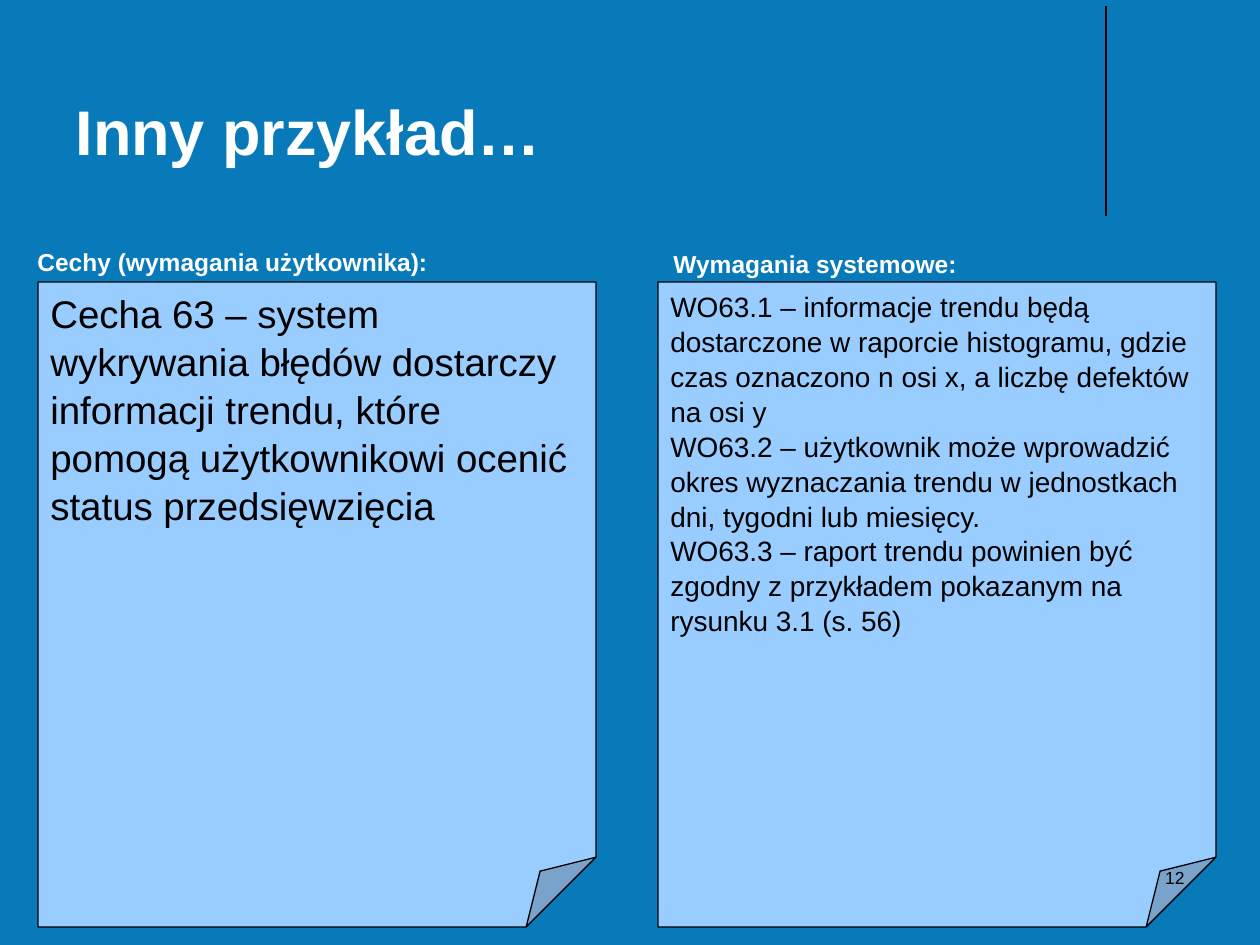
from dataclasses import dataclass

from lxml import etree
from pptx import Presentation
from pptx.dml.color import RGBColor
from pptx.enum.shapes import MSO_CONNECTOR, MSO_SHAPE
from pptx.enum.text import MSO_ANCHOR, MSO_AUTO_SIZE, PP_ALIGN
from pptx.oxml.ns import qn
from pptx.util import Pt

LEFT, RIGHT = PP_ALIGN.LEFT, PP_ALIGN.RIGHT
TOP, BOTTOM = MSO_ANCHOR.TOP, MSO_ANCHOR.BOTTOM
PX = 914400 // 126


@dataclass(frozen=True)
class Theme:
    font: str = "Arial"
    background: RGBColor = RGBColor(0x09, 0x7A, 0xB9)
    note: RGBColor = RGBColor(0x99, 0xCC, 0xFF)
    light: RGBColor = RGBColor(0xFF, 0xFF, 0xFF)
    dark: RGBColor = RGBColor(0, 0, 0)
    title: int = 36
    feature: int = 22
    requirement: int = 16
    label: int = 14
    number: int = 10


theme = Theme()


def px(*lengths):
    return [n * PX for n in lengths]


def write(s, lines, size, color, bold=False, align=LEFT, anchor=TOP, spacing=1.0):
    tf = s.text_frame
    tf.word_wrap = True
    tf.auto_size = MSO_AUTO_SIZE.NONE
    tf.vertical_anchor = anchor
    tf.text = "\n".join(lines)
    for p in tf.paragraphs:
        p.alignment = align
        p.line_spacing = spacing
        p.font.name = theme.font
        p.font.size = Pt(size)
        p.font.bold = bold
        p.font.color.rgb = color


prs = Presentation()
prs.slide_width, prs.slide_height = px(1260, 945)
slide = prs.slides.add_slide(prs.slide_layouts[5])
slide.background.fill.solid()
slide.background.fill.fore_color.rgb = theme.background

# Header
x, top, bottom = px(1106, 6, 216)
rule = slide.shapes.add_connector(MSO_CONNECTOR.STRAIGHT, x, top, x, bottom)
rule.line.color.rgb = theme.dark
rule.line.width = Pt(0.75)
etree.SubElement(rule._element.spPr, qn("a:effectLst"))

title = slide.shapes.title
title.left, title.top, title.width, title.height = px(63, 4, 1040, 170)
write(title, ["Inny przykład…"], theme.title, theme.light, bold=True, anchor=BOTTOM)

# Notes: left edge, text size, paragraphs
notes = [
    (38, theme.feature, [
        "Cecha 63 – system wykrywania błędów dostarczy informacji trendu, "
        "które pomogą użytkownikowi ocenić status przedsięwzięcia",
    ]),
    (658, theme.requirement, [
        "WO63.1 – informacje trendu będą dostarczone w raporcie histogramu, "
        "gdzie czas oznaczono n osi x, a liczbę defektów na osi y",
        "WO63.2 – użytkownik może wprowadzić okres wyznaczania trendu "
        "w jednostkach dni, tygodni lub miesięcy.",
        "WO63.3 – raport trendu powinien być zgodny z przykładem "
        "pokazanym na rysunku 3.1 (s. 56)",
    ]),
]
for left, size, lines in notes:
    s = slide.shapes.add_shape(MSO_SHAPE.FOLDED_CORNER, *px(left, 282, 558, 645))
    # python-pptx lists no adjustment for this preset, so the fold is set in XML
    guides = s._element.spPr.find(qn("a:prstGeom")).get_or_add_avLst()
    etree.SubElement(guides, qn("a:gd"), name="adj", fmla="val 12500")
    s.shadow.inherit = False
    s.fill.solid()
    s.fill.fore_color.rgb = theme.note
    s.line.color.rgb = theme.dark
    s.line.width = Pt(0)
    write(s, lines, size, theme.dark, spacing=1.04)

# Labels above the notes
labels = [
    ((25, 241, 595, 42), "Cechy (wymagania użytkownika):"),
    ((661, 243, 467, 42), "Wymagania systemowe:"),
]
for box, text in labels:
    s = slide.shapes.add_textbox(*px(*box))
    write(s, [text], theme.label, theme.light, bold=True)

number = slide.shapes.add_textbox(*px(903, 861, 294, 63))
write(number, ["12"], theme.number, theme.dark, align=RIGHT)

prs.save("out.pptx")
